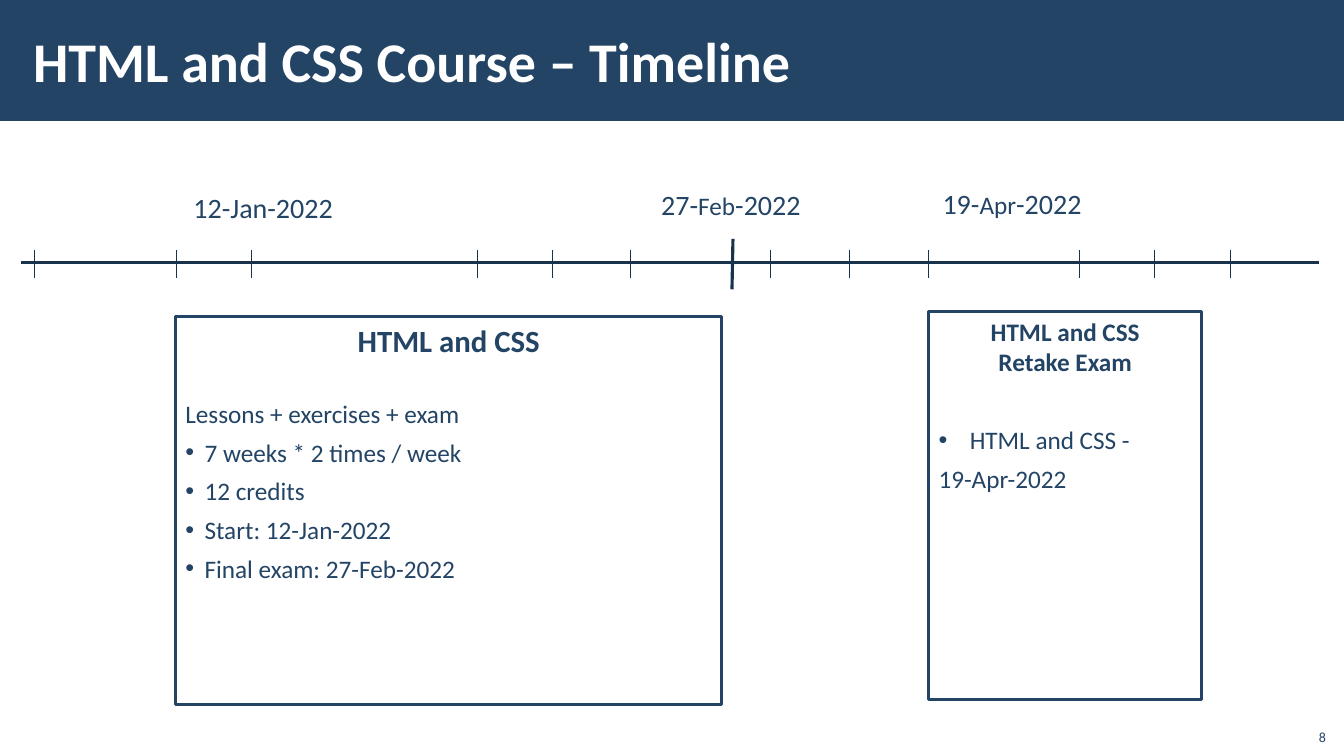
from dataclasses import dataclass

from lxml.etree import SubElement
from pptx import Presentation
from pptx.dml.color import RGBColor
from pptx.enum.shapes import MSO_CONNECTOR, MSO_SHAPE
from pptx.enum.text import MSO_ANCHOR, MSO_AUTO_SIZE, PP_ALIGN
from pptx.oxml.ns import qn
from pptx.util import Inches, Pt


@dataclass(frozen=True)
class Theme:
    font: str = "Calibri"
    navy: RGBColor = RGBColor(0x23, 0x44, 0x65)
    dark: RGBColor = RGBColor(0x1A, 0x33, 0x4C)
    white: RGBColor = RGBColor(0xFF, 0xFF, 0xFF)
    title: int = 40
    heading: int = 22
    date: int = 20
    body: int = 18
    number: int = 10
    border: float = 2
    axis: float = 2.25
    tick: float = 0.5


COLUMNS, ROWS = 133.3, 75
WIDTH, HEIGHT = Inches(13.33), Inches(7.5)


def apply(target, formats):
    for name, value in formats.items():
        setattr(target, name, value)


class TimelineSlide:
    """Draws elements on one slide, placed in columns and rows of a fine grid."""

    def __init__(self, presentation, theme):
        self.theme = theme
        self.slide = presentation.slides.add_slide(presentation.slide_layouts[6])

    def place(self, column, row):
        return round(column * WIDTH / COLUMNS), round(row * HEIGHT / ROWS)

    def box(self, area, fill, border=None):
        shape = self.slide.shapes.add_shape(
            MSO_SHAPE.RECTANGLE, *self.place(*area[:2]), *self.place(*area[2:]))
        shape.shadow.inherit = False
        shape.fill.solid()
        shape.fill.fore_color.rgb = fill
        if border:
            shape.line.color.rgb = border
            shape.line.width = Pt(self.theme.border)
        else:
            shape.line.fill.background()
        return shape

    def line(self, start, end, width):
        connector = self.slide.shapes.add_connector(
            MSO_CONNECTOR.STRAIGHT, *self.place(*start), *self.place(*end))
        connector.line.color.rgb = self.theme.dark
        connector.line.width = Pt(width)
        SubElement(connector._element.spPr, qn("a:effectLst"))

    def paragraph(self, paragraph, runs, layout=None, indent=0, **font):
        apply(paragraph, {"alignment": PP_ALIGN.LEFT, **(layout or {})})
        for text, size in runs:
            for position, part in enumerate(text.split("\n")):
                if position:
                    paragraph.add_line_break()
                run = paragraph.add_run()
                run.text = part
                apply(run.font, {"name": self.theme.font, "size": Pt(size), **font})
                run.font.color.rgb = font.get("rgb", self.theme.navy)
        if indent:
            properties = paragraph._p.get_or_add_pPr()
            properties.set("marL", str(Inches(indent)))
            properties.set("indent", str(-Inches(indent)))
            SubElement(properties, qn("a:buFont"), typeface="Arial")
            SubElement(properties, qn("a:buChar"), char="•")

    def text(self, area, runs, frame=None, layout=None, color=None, bold=False):
        shape = self.slide.shapes.add_textbox(
            *self.place(*area[:2]), *self.place(*area[2:]))
        apply(shape.text_frame, {"word_wrap": True, **(frame or {})})
        paragraph = shape.text_frame.paragraphs[0]
        self.paragraph(paragraph, runs, layout, bold=bold)
        for run in paragraph.runs:
            run.font.color.rgb = color or self.theme.navy

    def card(self, area, heading, size, heading_gap, items):
        frame = self.box(area, self.theme.white, self.theme.navy).text_frame
        apply(frame, {"word_wrap": True, "vertical_anchor": MSO_ANCHOR.TOP})
        centred = {"alignment": PP_ALIGN.CENTER,
                   "space_before": Pt(3), "space_after": Pt(3)}
        self.paragraph(frame.paragraphs[0], [(heading, size)], centred, bold=True)
        for position, (text, indent, before, after) in enumerate(items):
            gap = before if position else heading_gap
            self.paragraph(frame.add_paragraph(), [(text, self.theme.body)],
                           {"space_before": Pt(gap), "space_after": Pt(after)},
                           indent, bold=False)


def main():
    presentation = Presentation()
    apply(presentation, {"slide_width": WIDTH, "slide_height": HEIGHT})
    theme = Theme()
    slide = TimelineSlide(presentation, theme)

    slide.box((0, 0, COLUMNS, 12), theme.navy)
    slide.text((2.3, 1.1, 106, 9.7), [("HTML and CSS Course – Timeline", theme.title)],
               {"vertical_anchor": MSO_ANCHOR.MIDDLE}, color=theme.white, bold=True)

    slide.line((2.1, 26), (130.8, 26), theme.axis)
    slide.line((72.7, 23.7), (72.6, 28.7), theme.axis)
    for column in (3.4, 17.5, 24.9, 47.3, 54.8, 62.5,
                   76.4, 84.2, 92.1, 107.1, 114.5, 122):
        slide.line((column, 24.8), (column, 27.6), theme.tick)

    dates = (
        (18.2, 18.4, [("12-Jan-2022", theme.date)]),
        (64.6, 18.1, [("27-", theme.date), ("Feb", theme.body), ("-2022", theme.date)]),
        (92.5, 18, [("19-", theme.date), ("Apr", theme.body), ("-2022", theme.date)]),
    )
    for column, row, runs in dates:
        slide.text((column, row, 16, 4.4), runs,
                   {"word_wrap": False, "auto_size": MSO_AUTO_SIZE.SHAPE_TO_FIT_TEXT},
                   {"alignment": PP_ALIGN.JUSTIFY})

    facts = ("7 weeks * 2 times / week", "12 credits",
             "Start: 12-Jan-2022", "Final exam: 27-Feb-2022")
    slide.card((17.4, 31.4, 54.2, 38.5), "HTML and CSS", theme.heading, 25.5,
               [("Lessons + exercises + exam", 0, 6, 0),
                *((fact, 0.19, 6, 0) for fact in facts)])
    slide.card((92.1, 30.9, 27.1, 38.5), "HTML and CSS\nRetake Exam", theme.body, 31,
               [("HTML and CSS -", 0.31, 3, 3), ("19-Apr-2022", 0, 3, 3)])

    slide.text((128.5, 71.2, 4, 3.2), [("8", theme.number)],
               {"vertical_anchor": MSO_ANCHOR.BOTTOM}, {"alignment": PP_ALIGN.RIGHT})
    presentation.save("out.pptx")


if __name__ == "__main__":
    main()
